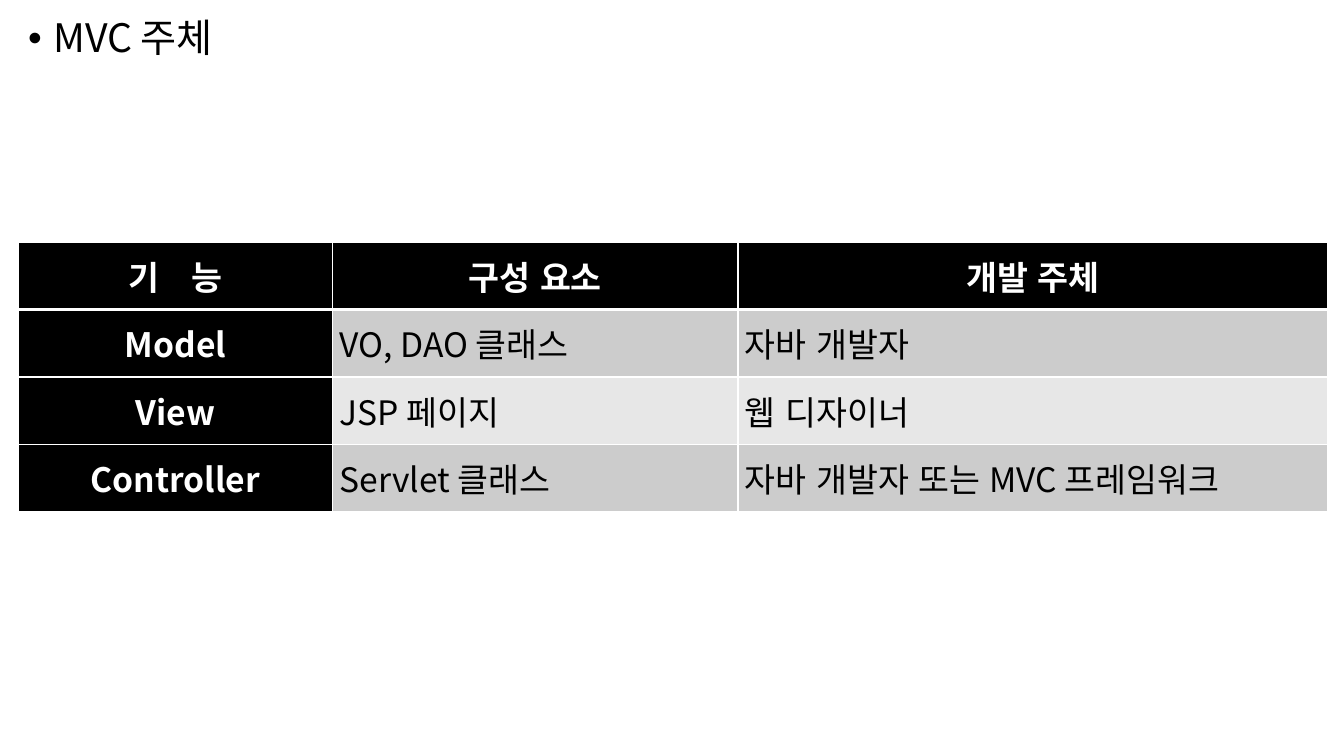
from dataclasses import dataclass

from lxml.etree import SubElement
from pptx import Presentation
from pptx.dml.color import RGBColor
from pptx.enum.text import MSO_ANCHOR, PP_ALIGN
from pptx.oxml.ns import qn
from pptx.util import Inches, Pt


@dataclass(frozen=True)
class Theme:
    font: str = "Noto Sans CJK KR"
    title_size: int = 28
    table_size: int = 24
    dark: str = "000000"
    light: str = "FFFFFF"
    bands: tuple = ("CCCCCC", "E7E7E7")


theme = Theme()


def add_text(paragraph, text, size=theme.table_size, color=theme.dark, bold=False, spacing=0):
    run = paragraph.add_run()
    run.text = text
    run.font.name = theme.font
    run.font.size = Pt(size)
    run.font.bold = bold
    run.font.color.rgb = RGBColor.from_string(color)
    properties = run.font._element
    properties.set("lang", "ko-KR")
    if spacing:
        properties.set("spc", str(spacing * 100))
    SubElement(properties, qn("a:ea"), typeface=theme.font)


def set_border(cell, side, width):
    line = SubElement(cell._tc.get_or_add_tcPr(), qn(f"a:{side}"), w=str(Pt(width)))
    fill = SubElement(line, qn("a:solidFill"))
    SubElement(fill, qn("a:srgbClr"), val=theme.light)


presentation = Presentation()
presentation.slide_width = Inches(13.33)
presentation.slide_height = Inches(7.5)
slide = presentation.slides.add_slide(presentation.slide_layouts[6])

title_box = slide.shapes.add_textbox(Inches(0.18), Inches(0.14), Inches(12.99), Inches(7.22))
title_box.text_frame.word_wrap = True
title = title_box.text_frame.paragraphs[0]
title.line_spacing = 0.9
title.space_before = Pt(10)
title_properties = title._p.get_or_add_pPr()
title_properties.set("marL", str(Inches(0.25)))
title_properties.set("indent", str(-Inches(0.25)))
SubElement(title_properties, qn("a:buFont"), typeface="Arial")
SubElement(title_properties, qn("a:buChar"), char="•")
add_text(title, "MVC 주체", size=theme.title_size)

rows = [
    ["기 능", "구성 요소", "개발 주체"],
    ["Model", "VO, DAO 클래스", "자바 개발자"],
    ["View", "JSP 페이지", "웹 디자이너"],
    ["Controller", "Servlet 클래스", "자바 개발자 또는 MVC 프레임워크"],
]
column_widths = [3.12, 4.02, 5.85]
row_height = 0.67

table = slide.shapes.add_table(
    len(rows), len(column_widths), Inches(0.18), Inches(2.4),
    Inches(sum(column_widths)), Inches(row_height * len(rows)),
).table
for column, width in zip(table.columns, column_widths):
    column.width = Inches(width)

for row_index, texts in enumerate(rows):
    table.rows[row_index].height = Inches(row_height)
    for column_index, text in enumerate(texts):
        cell = table.cell(row_index, column_index)
        is_heading = row_index == 0 or column_index == 0
        cell.vertical_anchor = MSO_ANCHOR.MIDDLE
        cell.margin_left = cell.margin_right = Inches(0.07)
        cell.margin_top = cell.margin_bottom = 0
        set_border(cell, "lnL", 1)
        set_border(cell, "lnR", 1)
        set_border(cell, "lnT", 3 if row_index == 1 else 1)
        set_border(cell, "lnB", 3 if row_index == 0 else 1)
        cell.fill.solid()
        fill_color = theme.dark if is_heading else theme.bands[(row_index - 1) % 2]
        cell.fill.fore_color.rgb = RGBColor.from_string(fill_color)
        paragraph = cell.text_frame.paragraphs[0]
        paragraph.alignment = PP_ALIGN.CENTER if is_heading else PP_ALIGN.LEFT
        text_color = theme.light if is_heading else theme.dark
        if text == "기 능":
            add_text(paragraph, "기 ", color=text_color, bold=True, spacing=8)
            text = "능"
        add_text(paragraph, text, color=text_color, bold=is_heading)

presentation.save("out.pptx")
